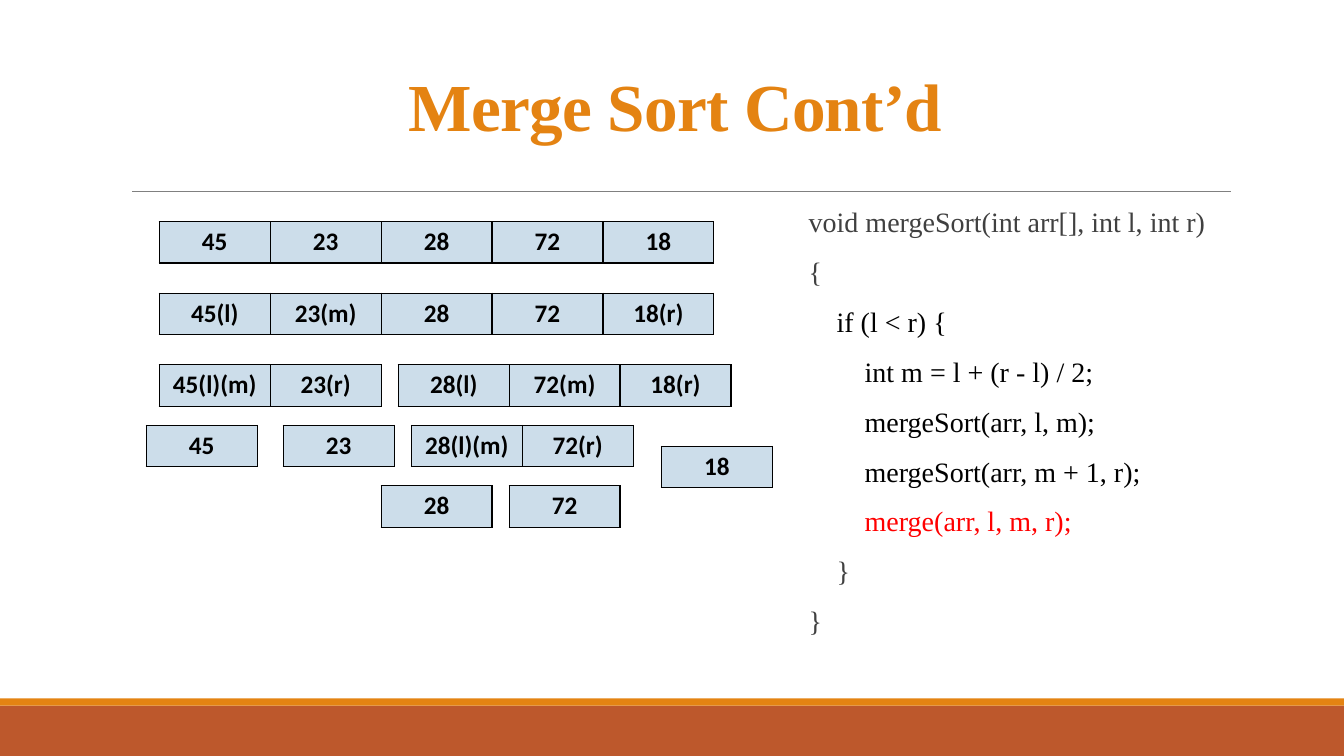
from pptx import Presentation
from pptx import util as u
from pptx.dml.color import RGBColor
from pptx.enum import shapes, text
from pptx.oxml import parse_xml
from pptx.oxml.ns import nsdecls

# Content
TITLE = "Merge Sort Cont’d"
CODE = [  # line, colour
    ("void mergeSort(int arr[], int l, int r)", "grey"),
    ("{", "grey"),
    ("    if (l < r) {", "black"),
    ("        int m = l + (r - l) / 2;", "black"),
    ("        mergeSort(arr, l, m);", "black"),
    ("        mergeSort(arr, m + 1, r);", "black"),
    ("        merge(arr, l, m, r);", "red"),
    ("    }", "grey"),
    ("}", "grey"),
]
ARRAYS = [  # left in inches, level of the recursion, cells
    (1.58, 0, ["45", "23", "28", "72", "18"]),
    (1.58, 1, ["45(l)", "23(m)", "28", "72", "18(r)"]),
    (1.58, 2, ["45(l)(m)", "23(r)"]),
    (3.95, 2, ["28(l)", "72(m)", "18(r)"]),
    (1.45, 3, ["45"]),
    (2.81, 3, ["23"]),
    (4.08, 3, ["28(l)(m)", "72(r)"]),
    (6.56, 3.35, ["18"]),
    (3.78, 4, ["28"]),
    (5.05, 4, ["72"]),
]

# Format
W, H = 13.33, 7.5
CELL_W, CELL_H = 1.1, 0.41
TOP, WIDE_STEP, TIGHT_STEP = 2.2, 0.71, 0.6
SERIF, SANS = "Times New Roman", "Calibri"
COLORS = {"orange": "E48312", "rust": "BD582C", "rule": "808080", "cell": "CCDDEA",
          "grey": "404040", "black": "000000", "red": "FF0000"}


def rgb(name):
    return RGBColor.from_string(COLORS[name])


def level_top(level):
    """The first two gaps are wide, the later ones tight."""
    return TOP + WIDE_STEP * min(level, 2) + TIGHT_STEP * max(level - 2, 0)


def place(sp, left, top, width, height):
    sp.left, sp.top = u.Inches(left), u.Inches(top)
    sp.width, sp.height = u.Inches(width), u.Inches(height)


def write(p, words, font=SERIF, size=20, color="black", bold=False, align=None,
          line=None, before=0, after=0, spacing=None):
    r = p.add_run()
    r.text = words
    r.font.name, r.font.size, r.font.bold = font, u.Pt(size), bold
    r.font.color.rgb = rgb(color)
    p.alignment, p.line_spacing = align, line
    p.space_before, p.space_after = u.Pt(before), u.Pt(after)
    if spacing is not None:
        r._r.get_or_add_rPr().set("spc", str(int(spacing * 100)))


def add_bar(s, top, height, color):
    sp = s.shapes.add_shape(shapes.MSO_SHAPE.RECTANGLE, 0, u.Inches(top),
                            u.Inches(W), u.Inches(height))
    sp.shadow.inherit = False
    sp.fill.solid()
    sp.fill.fore_color.rgb = rgb(color)
    sp.line.fill.background()


def add_border(cell):
    pr = cell._tc.get_or_add_tcPr()
    for i, side in enumerate(("lnL", "lnR", "lnT", "lnB")):
        pr.insert(i, parse_xml(
            f'<a:{side} {nsdecls("a")} w="{u.Pt(1)}"><a:solidFill>'
            f'<a:srgbClr val="{COLORS["black"]}"/></a:solidFill></a:{side}>'))


def add_array(s, left, level, values):
    table = s.shapes.add_table(
        1, len(values), u.Inches(left), u.Inches(level_top(level)),
        u.Inches(CELL_W * len(values)), u.Inches(CELL_H)).table
    table.first_row = table.horz_banding = False
    for cell, value in zip(table.rows[0].cells, values):
        write(cell.text_frame.paragraphs[0], value, font=SANS, size=18, bold=True,
              align=text.PP_ALIGN.CENTER)
        cell.fill.solid()
        cell.fill.fore_color.rgb = rgb("cell")
        add_border(cell)


def main():
    prs = Presentation()
    prs.slide_width, prs.slide_height = u.Inches(W), u.Inches(H)
    s = prs.slides.add_slide(prs.slide_layouts[1])
    title, body = s.placeholders

    # Footer bars and the rule under the title
    add_bar(s, 7, 0.5, "rust")
    add_bar(s, 6.93, 0.07, "orange")
    rule = s.shapes.add_connector(shapes.MSO_CONNECTOR.STRAIGHT, u.Inches(1.31),
                                  u.Inches(1.9), u.Inches(12.21), u.Inches(1.9))
    rule.line.color.rgb = rgb("rule")
    rule.line.width = u.Pt(0.5)
    rule._element.spPr.append(parse_xml(f'<a:effectLst {nsdecls("a")}/>'))

    # Title
    place(title, 1.2, 0.31, 11, 1.59)
    title.text_frame.vertical_anchor = text.MSO_ANCHOR.MIDDLE
    write(title.text_frame.paragraphs[0], TITLE, size=48, color="orange", bold=True,
          align=text.PP_ALIGN.CENTER, line=0.85, spacing=-0.5)

    # Code
    place(body, 7.92, 2.02, 4.28, 4.4)
    tf = body.text_frame
    tf.auto_size = text.MSO_AUTO_SIZE.NONE
    tf.margin_left = tf.margin_right = 0
    tf.margin_top = tf.margin_bottom = u.Inches(0.05)
    for i, (line, color) in enumerate(CODE):
        p = tf.add_paragraph() if i else tf.paragraphs[0]
        pr = p._p.get_or_add_pPr()
        pr.set("marL", str(u.Inches(0.1)))
        pr.set("indent", "0")
        pr.append(parse_xml(f'<a:buNone {nsdecls("a")}/>'))
        write(p, line, color=color, align=text.PP_ALIGN.LEFT, line=0.9,
              before=12 if i else 0, after=2)

    # Arrays at each level of the recursion
    for left, level, values in ARRAYS:
        add_array(s, left, level, values)

    prs.save("out.pptx")


if __name__ == "__main__":
    main()
